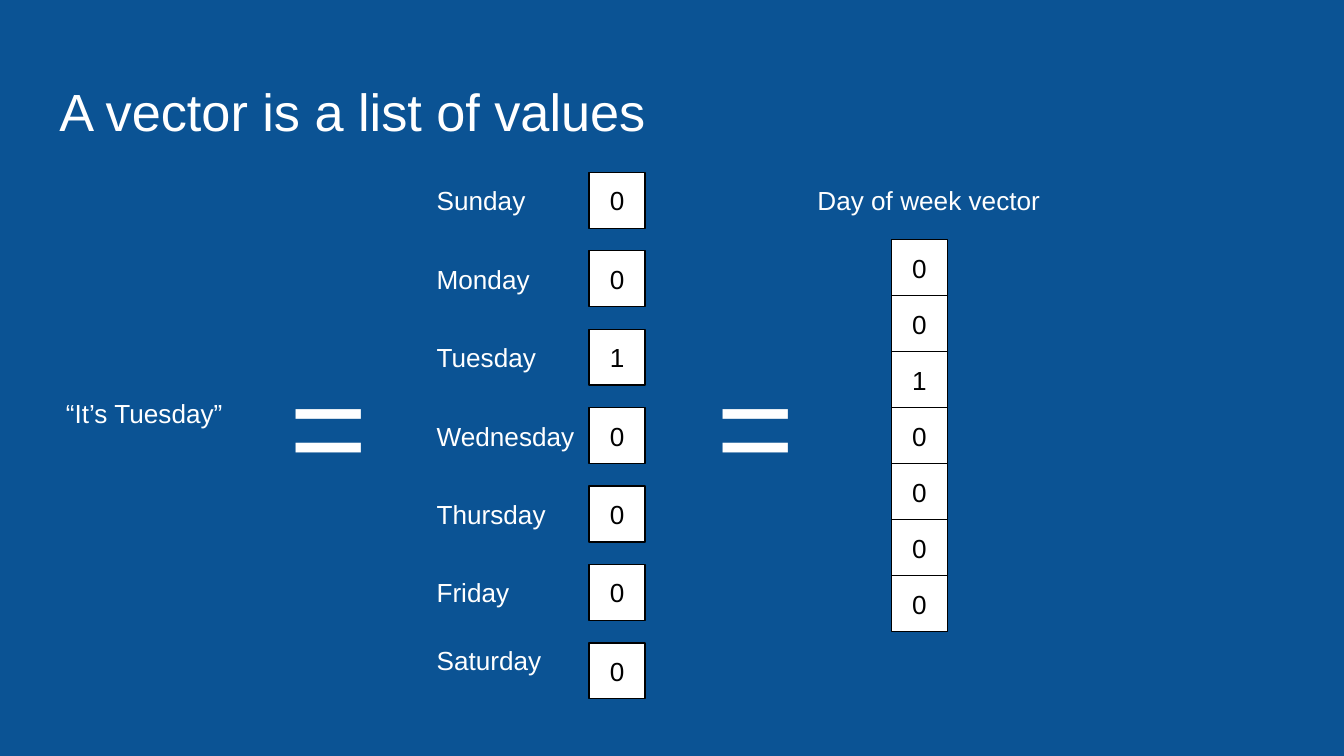
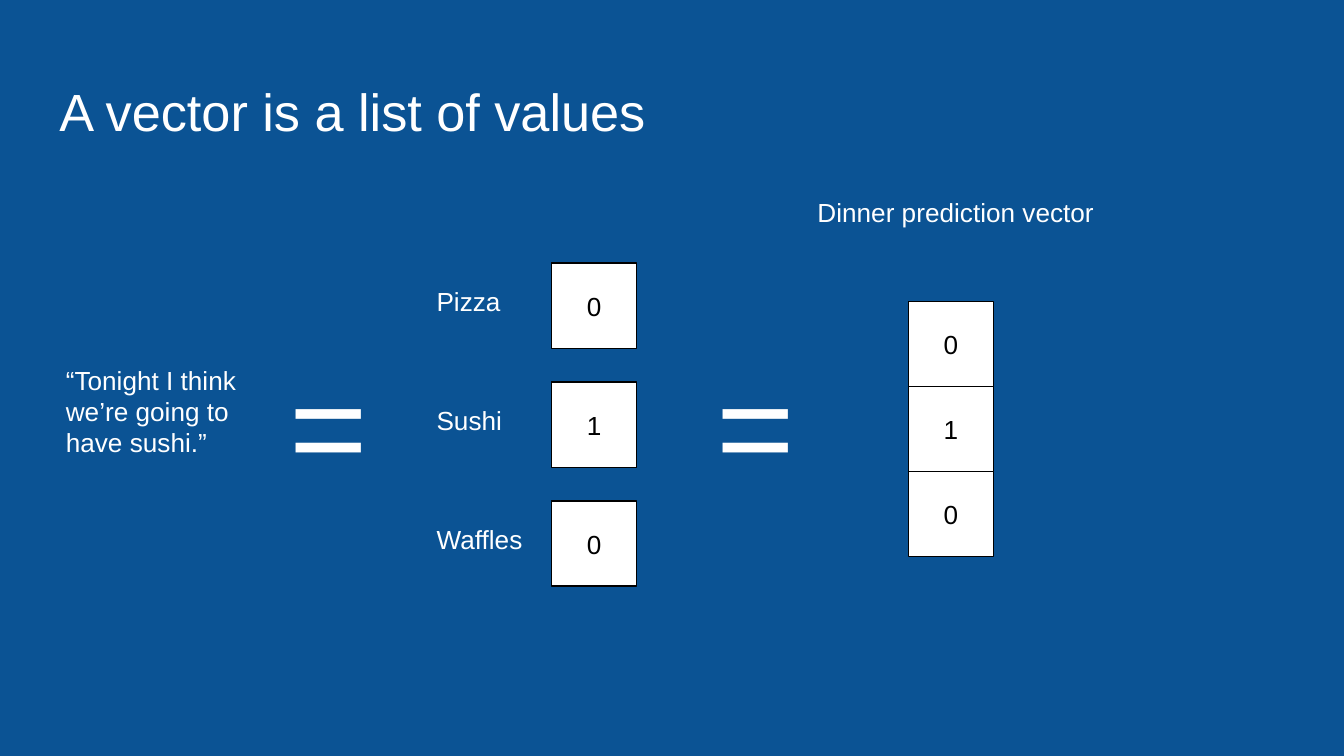
from pptx import Presentation
from pptx.dml.color import RGBColor
from pptx.enum.shapes import MSO_SHAPE
from pptx.enum.text import MSO_ANCHOR, PP_ALIGN
from pptx.util import Inches, Pt

COLORS = {"background": "0B5394", "light": "FFFFFF", "dark": "000000"}
FONT = "Arial"
TITLE = "A vector is a list of values"

# Grid units are 1/120 of the slide's width; a box is left, top, width, height.
COLUMNS = 120
TITLE_BOX = (4.1, 5.85, 111.8, 7.5)
LABEL_LEFT = 37.8
PHRASE_LEFT, PHRASE_WIDTH, PHRASE_HEIGHT = 4.7, 18.2, 5
HEADING_LEFT, HEADING_HEIGHT = 71.8, 6.2
EQUALS_LEFTS = (24.7, 62.8)
EQUALS_TOP, EQUALS_WIDTH, EQUALS_HEIGHT = 29.3, 13.9, 19.1

# Each entry is a label, its value and how far the label leaves its row.
EXAMPLES = [
    {
        "phrase": "“It’s Tuesday”", "phrase_top": 34.3,
        "heading": "Day of week vector",
        "heading_top": 15.25, "heading_width": 25.1,
        "entries": [("Sunday", 0, 0), ("Monday", 0, 0), ("Tuesday", 1, 0),
                    ("Wednesday", 0, 0), ("Thursday", 0, 0),
                    ("Friday", 0, 0), ("Saturday", 0, -1)],
        "cell": 5, "step": 7, "label_shift": -0.1, "label_width": 14.85,
        "list_origin": (52.6, 15.4), "vector_origin": (79.6, 21.4),
    },
    {
        "phrase": "“Tonight I think we’re going to have sushi.”",
        "phrase_top": 31.3,
        "heading": "Dinner prediction vector",
        "heading_top": 16.3, "heading_width": 38.3,
        "entries": [("Pizza", 0, 0), ("Sushi", 1, 0), ("Waffles", 0, 0)],
        "cell": 7.6, "step": 10.62, "label_shift": 0.75, "label_width": 22.6,
        "list_origin": (49.25, 23.5), "vector_origin": (81.1, 26.9),
    },
]

deck = Presentation()
deck.slide_width, deck.slide_height = Inches(10), Inches(5.625)


def color(name):
    """Return a palette colour."""
    return RGBColor.from_string(COLORS[name])


def place(box):
    """Turn grid units into slide lengths."""
    return [round(value * deck.slide_width / COLUMNS) for value in box]


def write(shape, text, size=14, ink="light", align=PP_ALIGN.LEFT,
          anchor=MSO_ANCHOR.TOP):
    """Write one formatted paragraph into a shape."""
    frame = shape.text_frame
    frame.word_wrap = True
    frame.vertical_anchor = anchor
    frame.margin_left = frame.margin_right = Inches(0.1)
    frame.margin_top = frame.margin_bottom = Inches(0.1)
    para = frame.paragraphs[0]
    para.alignment = align
    span = para.add_run()
    span.text = text
    span.font.name, span.font.size = FONT, Pt(size)
    span.font.color.rgb = color(ink)


def add_text(page, box, text, **style):
    """Add a text box."""
    write(page.shapes.add_textbox(*place(box)), text, **style)


def add_cell(page, left, top, side, value):
    """Add a square that holds one value."""
    cell = page.shapes.add_shape(MSO_SHAPE.RECTANGLE,
                                 *place((left, top, side, side)))
    cell.shadow.inherit = False
    cell.fill.solid()
    cell.fill.fore_color.rgb = color("light")
    cell.line.color.rgb = color("dark")
    cell.line.width = Pt(0.75)
    write(cell, str(value), ink="dark", align=PP_ALIGN.CENTER,
          anchor=MSO_ANCHOR.MIDDLE)


def add_example(example):
    """Build a slide: phrase = labelled values = vector."""
    page = deck.slides.add_slide(deck.slide_layouts[5])
    title = page.shapes.title
    title.left, title.top, title.width, title.height = place(TITLE_BOX)
    write(title, TITLE, size=28)

    add_text(page, (PHRASE_LEFT, example["phrase_top"], PHRASE_WIDTH,
                    PHRASE_HEIGHT), example["phrase"])
    for left in EQUALS_LEFTS:
        add_text(page, (left, EQUALS_TOP, EQUALS_WIDTH, EQUALS_HEIGHT),
                 "=", size=72)
    add_text(page, (HEADING_LEFT, example["heading_top"],
                    example["heading_width"], HEADING_HEIGHT),
             example["heading"])

    side = example["cell"]
    list_left, list_top = example["list_origin"]
    vector_left, vector_top = example["vector_origin"]
    for row, (label, value, nudge) in enumerate(example["entries"]):
        top = list_top + row * example["step"]
        add_text(page, (LABEL_LEFT, top + example["label_shift"] + nudge,
                        example["label_width"], side), label)
        add_cell(page, list_left, top, side, value)
        add_cell(page, vector_left, vector_top + row * side, side, value)


backdrop = deck.slide_master.background.fill
backdrop.solid()
backdrop.fore_color.rgb = color("background")
for example in EXAMPLES:
    add_example(example)
deck.save("out.pptx")
